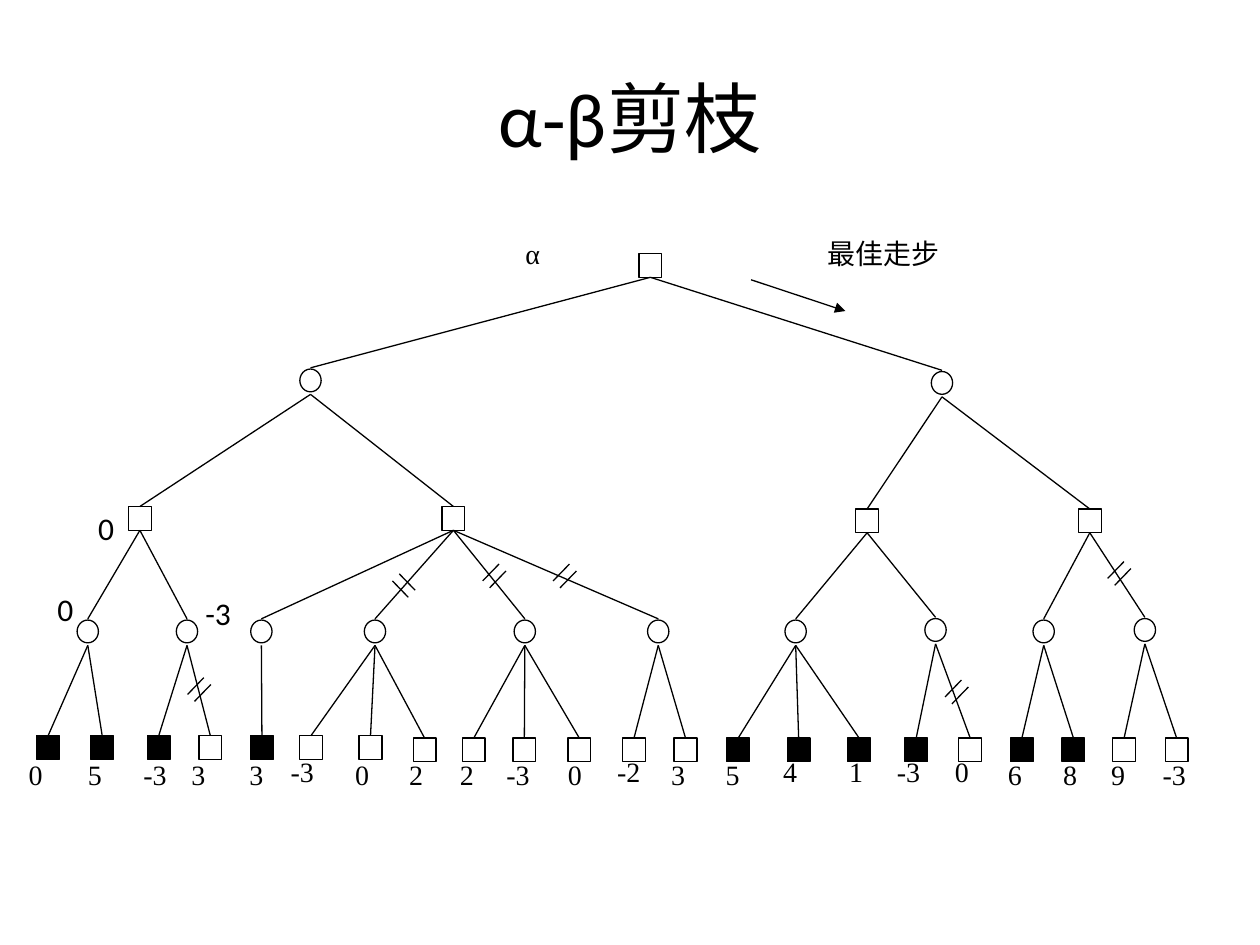
from lxml import etree
from pptx import Presentation
from pptx.dml.color import RGBColor
from pptx.enum.shapes import MSO_CONNECTOR, MSO_SHAPE
from pptx.enum.text import MSO_ANCHOR, PP_ALIGN
from pptx.oxml.ns import qn
from pptx.util import Cm, Pt

SQUARE, CIRCLE = MSO_SHAPE.RECTANGLE, MSO_SHAPE.OVAL
STRAIGHT = MSO_CONNECTOR.STRAIGHT
LEFT, CENTER, JUSTIFY = PP_ALIGN.LEFT, PP_ALIGN.CENTER, PP_ALIGN.JUSTIFY
TOP, MIDDLE = MSO_ANCHOR.TOP, MSO_ANCHOR.MIDDLE
BLACK = RGBColor(0x00, 0x00, 0x00)
WHITE = RGBColor(0xFF, 0xFF, 0xFF)
SANS, SERIF = "Calibri", "Times New Roman"
NODE_SIZE = {SQUARE: (0.46, 0.48), CIRCLE: (0.43, 0.46)}
CIRCLE_GAP = 0.05

# Each inner level: node kind, (centre x, top) of its nodes, children per node
LEVELS = [
    (SQUARE, [(13.11, 5.11)], [2]),
    (CIRCLE, [(6.26, 7.44), (18.99, 7.49)], [2, 2]),
    (SQUARE, [(2.82, 10.21), (9.14, 10.21), (17.48, 10.26), (21.97, 10.26)],
     [2, 4, 2, 2]),
    (CIRCLE, [(1.77, 12.5), (3.77, 12.5), (5.27, 12.5), (7.56, 12.5),
              (10.58, 12.5), (13.27, 12.5), (16.04, 12.5), (18.86, 12.47),
              (21.04, 12.5), (23.08, 12.47)],
     [2, 2, 1, 3, 3, 2, 3, 2, 2, 2]),
]

# Leaf: centre x, fill, value, left of its label
LEAVES = [
    (0.97, BLACK, "0", 0.33), (2.06, BLACK, "5", 1.52),
    (3.2, BLACK, "-3", 2.64), (4.24, WHITE, "3", 3.61),
    (5.28, BLACK, "3", 4.78), (6.27, WHITE, "-3", 5.61),
    (7.47, WHITE, "0", 6.91), (8.56, WHITE, "2", 8.0),
    (9.55, WHITE, "2", 9.02), (10.57, WHITE, "-3", 9.96),
    (11.68, WHITE, "0", 11.2), (12.78, WHITE, "-2", 12.19),
    (13.82, WHITE, "3", 13.28), (14.88, BLACK, "5", 14.38),
    (16.1, BLACK, "4", 15.54), (17.32, BLACK, "1", 16.87),
    (18.47, BLACK, "-3", 17.83), (19.56, WHITE, "0", 19.0),
    (20.6, BLACK, "6", 20.07), (21.64, BLACK, "8", 21.18),
    (22.66, WHITE, "9", 22.15), (23.72, WHITE, "-3", 23.19),
]
HIGH_LEAVES = 7
RAISED_LABELS = {5, 11, 14, 15, 16, 17}

# Cut mark: start of the first stroke, stroke vector, shift to the second stroke
RISING = ((0.33, -0.34), (0.14, 0.14))
FALLING = ((-0.32, -0.33), (0.14, -0.14))
CUTS = [(8.23, 12.04, FALLING), (3.78, 14.0, RISING), (9.73, 11.71, RISING),
        (11.15, 11.71, RISING), (19.05, 14.05, RISING), (22.33, 11.66, RISING)]

BACKED_UP = [("0", 0.91, 11.76, 0.84), ("0", 1.73, 10.13, 0.84),
             ("-3", 3.89, 11.86, 1.04)]


class TreePage:
    def __init__(self, page):
        self.page = page
        self.color = BLACK
        self.line_width = Pt(0.75)

    def text(self, words, left, top, width, height, size=16, font=SERIF,
             align=CENTER, anchor=TOP, wrap=True):
        box = self.page.shapes.add_textbox(
            Cm(left), Cm(top), Cm(width), Cm(height))
        frame = box.text_frame
        frame.word_wrap = wrap
        frame.vertical_anchor = anchor
        para = frame.paragraphs[0]
        para.text = words
        para.alignment = align
        para.font.size = Pt(size)
        para.font.name = font
        para.font.color.rgb = self.color

    def node(self, kind, center, top, fill=WHITE):
        width, height = NODE_SIZE[kind]
        shape = self.page.shapes.add_shape(
            kind, Cm(center - width / 2), Cm(top), Cm(width), Cm(height))
        shape.shadow.inherit = False
        shape.fill.solid()
        shape.fill.fore_color.rgb = fill
        shape.line.color.rgb = self.color
        shape.line.width = self.line_width
        return shape

    def line(self, x1, y1, x2, y2, arrow=False):
        line = self.page.shapes.add_connector(
            STRAIGHT, Cm(x1), Cm(y1), Cm(x2), Cm(y2))
        line.line.color.rgb = self.color
        line.line.width = self.line_width
        if arrow:
            etree.SubElement(line.line._get_or_add_ln(), qn("a:tailEnd"),
                             type="triangle")
        etree.SubElement(line._element.spPr, qn("a:effectLst"))
        return line

    def edge(self, parent, child):
        """Join squares at their sides; stop just short of circles."""
        x1 = (parent.left + parent.width / 2) / Cm(1)
        y1 = (parent.top + parent.height) / Cm(1) + CIRCLE_GAP
        x2 = (child.left + child.width / 2) / Cm(1)
        y2 = child.top / Cm(1) - CIRCLE_GAP / 2
        line = self.line(x1, y1, x2, y2)
        if parent.auto_shape_type == SQUARE:
            line.begin_connect(parent, 2)
        if child.auto_shape_type == SQUARE:
            line.end_connect(child, 0)

    def cut(self, x, y, style):
        (dx, dy), (shift_x, shift_y) = style
        for step in range(2):
            x1, y1 = x + step * shift_x, y + step * shift_y
            self.line(x1, y1, x1 + dx, y1 + dy)


def main():
    deck = Presentation()
    deck.slide_width, deck.slide_height = Cm(25.4), Cm(19.05)
    tree = TreePage(deck.slides.add_slide(deck.slide_layouts[6]))
    tree.text("α-β剪枝", 1.27, 0.76, 22.86, 3.18, size=44, font=SANS,
              anchor=MIDDLE)

    rows = [[tree.node(kind, x, top) for x, top in places]
            for kind, places, _ in LEVELS]
    rows.append([tree.node(SQUARE, x, 14.83 if i < HIGH_LEAVES else 14.88, fill)
                 for i, (x, fill, _, _) in enumerate(LEAVES)])
    for (_, _, counts), parents, row in zip(LEVELS, rows, rows[1:]):
        children = iter(row)
        for parent, count in zip(parents, counts):
            for _ in range(count):
                tree.edge(parent, next(children))

    for i, (_, _, value, left) in enumerate(LEAVES):
        top = 15.09 if i in RAISED_LABELS else 15.14
        tree.text(value, left, top, 2.01, 1.3, align=JUSTIFY)

    tree.text("最佳走步", 15.93, 4.65, 3.76, 1.4)
    tree.line(15.14, 5.64, 17.04, 6.27, arrow=True)
    tree.text("α", 9.7, 4.65, 2.08, 1.14)
    for x, y, style in CUTS:
        tree.cut(x, y, style)
    for value, left, top, width in BACKED_UP:
        tree.text(value, left, top, width, 1.02, size=18, font=SANS,
                  align=LEFT, wrap=False)
    deck.save("out.pptx")


if __name__ == "__main__":
    main()
